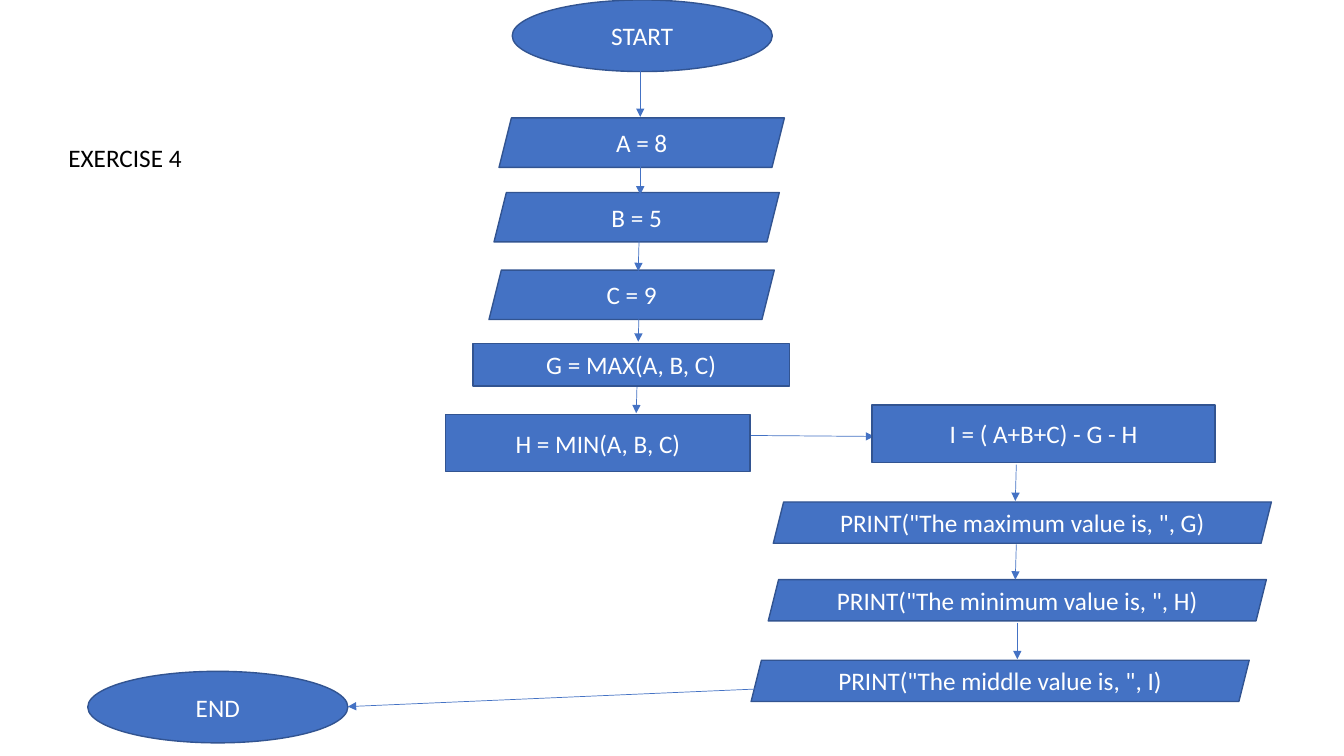
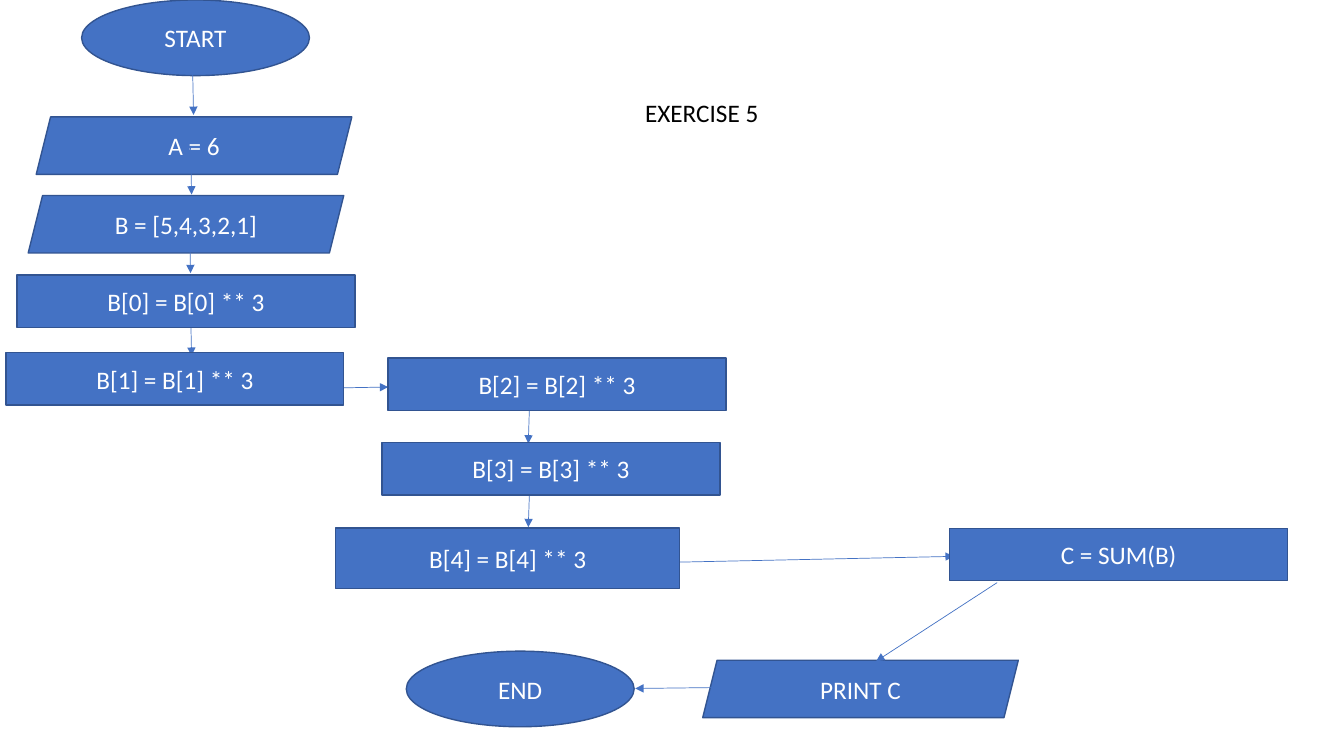
import pptx
import pptx.util
import pptx.dml.color
import pptx.enum.shapes
import pptx.enum.text
import pptx.oxml.ns
import lxml.etree

# Content: each flow lists its steps in order as
# (size name, text, left, top, arrow start, arrow end), in inches
FLOWS = [
    {
        "title": ("EXERCISE 4", 0.58, 1.36),
        "sizes": {
            "end": ("oval", 2.58, 0.71),
            "input": ("slant", 2.83, 0.49),
            "max": ("box", 3.14, 0.42),
            "min": ("box", 3.02, 0.57),
            "mid": ("box", 3.4, 0.57),
            "print": ("slant", 4.94, 0.41),
        },
        "steps": [
            ("end", "START", 5.08, 0, (6.35, 0.46), (6.35, 1.16)),
            ("input", "A = 8", 4.95, 1.17, (6.35, 1.58), (6.35, 1.93)),
            ("input", "B = 5", 4.9, 1.91, (6.34, 2.33), (6.33, 2.69)),
            ("input", "C = 9", 4.85, 2.68, (6.34, 3.04), (6.33, 3.39)),
            ("max", "G = MAX(A, B, C)", 4.69, 3.41, (6.32, 3.75), (6.31, 4.1)),
            ("min", "H = MIN(A, B, C)", 4.42, 4.11, (7.38, 4.32), (8.67, 4.33)),
            ("mid", "I = ( A+B+C) - G - H", 8.65, 4.02, (10.08, 4.61), (10.07, 4.97)),
            ("print", 'PRINT("The maximum value is, ", G)', 7.67, 4.98, (10.08, 5.4), (10.07, 5.75)),
            ("print", 'PRINT("The minimum value is, ", H)', 7.62, 5.75, (10.09, 6.18), (10.09, 6.54)),
            ("print", 'PRINT("The middle value is, ", I)', 7.45, 6.55, (7.63, 6.83), (3.45, 7.01)),
            ("end", "END", 0.87, 6.66, None, None),
        ],
    },
    {
        "title": ("EXERCISE 5", 6.3, 0.92),
        "sizes": {
            "end": ("oval", 2.26, 0.75),
            "input": ("slant", 3.13, 0.57),
            "cube": ("box", 3.35, 0.52),
            "last": ("box", 3.41, 0.6),
        },
        "steps": [
            ("end", "START", 0.81, 0, (1.91, 0.66), (1.92, 1.14)),
            ("input", "A = 6", 0.36, 1.16, (1.89, 1.45), (1.9, 1.93)),
            ("input", "B = [5,4,3,2,1]", 0.28, 1.94, (1.88, 2.23), (1.89, 2.71)),
            ("cube", "B[0] = B[0] ** 3", 0.17, 2.73, (1.89, 3.05), (1.9, 3.53)),
            ("cube", "B[1] = B[1] ** 3", 0.06, 3.5, (3.26, 3.85), (3.85, 3.84)),
            ("cube", "B[2] = B[2] ** 3", 3.85, 3.55, (5.25, 4.07), (5.24, 4.4)),
            ("cube", "B[3] = B[3] ** 3", 3.79, 4.39, (5.25, 4.92), (5.24, 5.23)),
            ("last", "B[4] = B[4] ** 3", 3.33, 5.24, (6.58, 5.58), (9.46, 5.52)),
            ("cube", "C = SUM(B)", 9.42, 5.24, (9.89, 5.78), (8.69, 6.56)),
            ("input", "PRINT C", 6.97, 6.55, (7.21, 6.82), (6.3, 6.83)),
            ("end", "END", 4.03, 6.46, None, None),
        ],
    },
]

# Shared style
BLUE, EDGE, WHITE, BLACK = "4472C4", "325491", "FFFFFF", "000000"
FONT, SIZE = "Calibri", 18
KIND = pptx.enum.shapes.MSO_SHAPE
FORMS = {"oval": KIND.OVAL, "slant": KIND.PARALLELOGRAM, "box": KIND.RECTANGLE}
ALIGN = pptx.enum.text.PP_ALIGN
inch = pptx.util.Inches
qn = pptx.oxml.ns.qn


def color(code):
    return pptx.dml.color.RGBColor.from_string(code)


def write(frame, text, code, align):
    frame.word_wrap = True
    para = frame.paragraphs[0]
    para.text = text
    para.alignment = align
    para.font.name = FONT
    para.font.size = pptx.util.Pt(SIZE)
    para.font.color.rgb = color(code)


def stroke(line, code, width):
    line.color.rgb = color(code)
    line.width = pptx.util.Pt(width)


def add_step(slide, form, text, *place):
    shape = slide.shapes.add_shape(FORMS[form], *map(inch, place))
    shape.shadow.inherit = False
    shape.fill.solid()
    shape.fill.fore_color.rgb = color(BLUE)
    stroke(shape.line, EDGE, 1)
    shape.text_frame.vertical_anchor = pptx.enum.text.MSO_ANCHOR.MIDDLE
    write(shape.text_frame, text, WHITE, ALIGN.CENTER)


def add_arrow(slide, start, end):
    arrow = slide.shapes.add_connector(
        pptx.enum.shapes.MSO_CONNECTOR.STRAIGHT, *map(inch, start + end))
    stroke(arrow.line, BLUE, 0.5)
    props = arrow._element.spPr
    lxml.etree.SubElement(props.find(qn("a:ln")), qn("a:tailEnd"), type="triangle")
    lxml.etree.SubElement(props, qn("a:effectLst"))


def add_title(slide, text, left, top):
    box = slide.shapes.add_textbox(*map(inch, (left, top, 3, 0.4)))
    write(box.text_frame, text, BLACK, ALIGN.LEFT)
    box.text_frame.auto_size = pptx.enum.text.MSO_AUTO_SIZE.SHAPE_TO_FIT_TEXT


def add_flow(deck, flow):
    slide = deck.slides.add_slide(deck.slide_layouts[6])
    steps = [(*flow["sizes"][name], *rest) for name, *rest in flow["steps"]]

    # Arrows lie above ovals and slants, below boxes
    def draw(boxes):
        for form, wide, high, text, left, top, _, _ in steps:
            if (form == "box") == boxes:
                add_step(slide, form, text, left, top, wide, high)

    draw(False)
    for *_, start, end in steps:
        if start:
            add_arrow(slide, start, end)
    add_title(slide, *flow["title"])
    draw(True)


# Build the deck
deck = pptx.Presentation()
deck.slide_width, deck.slide_height = inch(13.33), inch(7.5)
for flow in FLOWS:
    add_flow(deck, flow)
deck.save("out.pptx")
